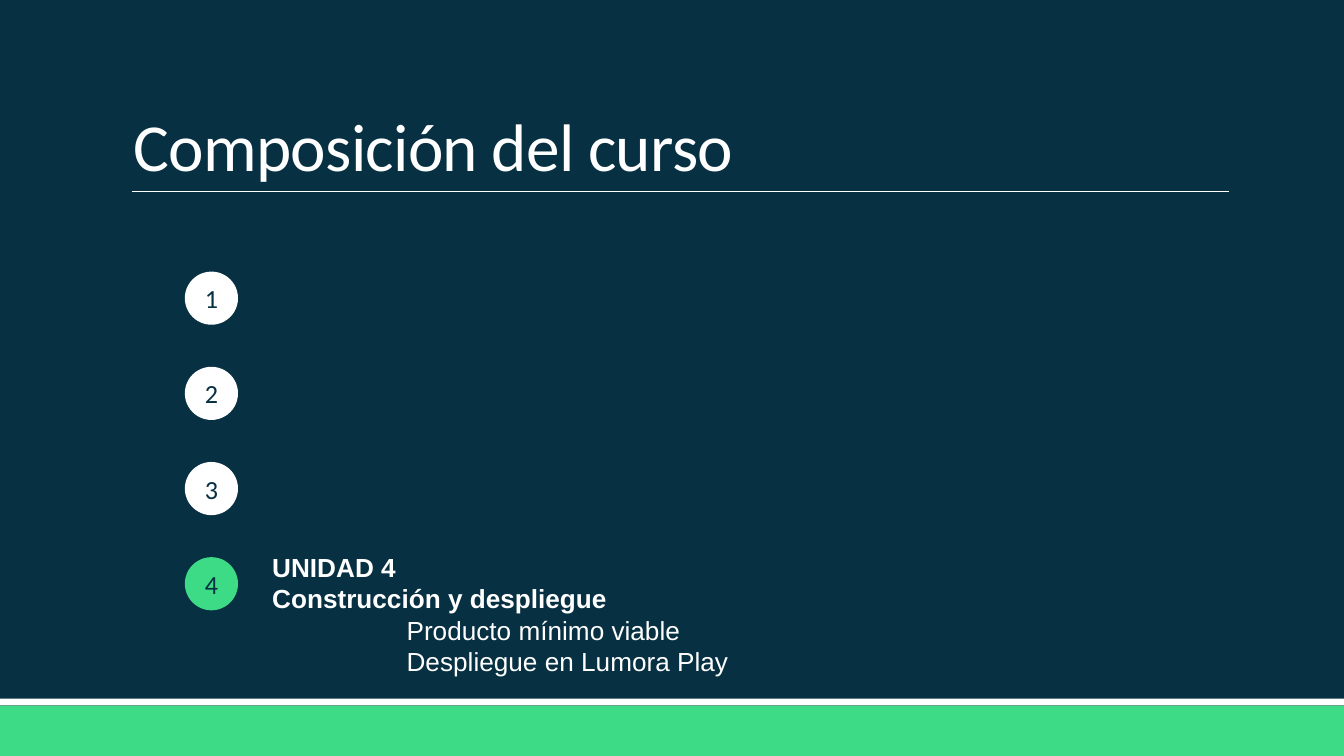
from pptx import Presentation
from pptx.dml.color import RGBColor
from pptx.enum.shapes import MSO_CONNECTOR, MSO_SHAPE
from pptx.enum.text import MSO_ANCHOR, PP_ALIGN
from pptx.oxml.ns import qn
from pptx.util import Pt
from lxml.etree import SubElement

EMU_PER_PX = 9525
WIDTH, HEIGHT = 960, 540
COLORS = {"navy": "073042", "green": "3DDB85", "white": "FFFFFF"}
UNIT_LINES = [
    # text, bold, indent in px
    ("UNIDAD 4", True, 0),
    ("Construcción y despliegue", True, 0),
    ("Producto mínimo viable", False, 96),
    ("Despliegue en Lumora Play", False, 96),
]


def px(*lengths):
    return [length * EMU_PER_PX for length in lengths]


def color(name):
    return RGBColor.from_string(COLORS[name])


def set_font(paragraph, name, size, color_name, bold=False):
    font = paragraph.font
    font.name, font.size, font.bold = name, Pt(size), bold
    font.color.rgb = color(color_name)


def add_filled_shape(slide, kind, box, fill):
    shape = slide.shapes.add_shape(kind, *px(*box))
    shape.shadow.inherit = False
    shape.fill.solid()
    shape.fill.fore_color.rgb = color(fill)
    shape.line.fill.background()
    return shape


def add_text_frame(slide, box):
    text_frame = slide.shapes.add_textbox(*px(*box)).text_frame
    text_frame.word_wrap = True
    return text_frame


def add_footer(slide, left, top, width, height):
    """Green band with a thin white stripe along its top."""
    stripe = 5
    band_box = (left, top + stripe, width, height - stripe)
    add_filled_shape(slide, MSO_SHAPE.RECTANGLE, band_box, "green")
    add_filled_shape(slide, MSO_SHAPE.RECTANGLE, (left, top, width, stripe), "white")


def add_title(slide, left, top, width, height):
    """Bottom-anchored title, underlined by a rule along the box."""
    bottom, right = top + height, left + width
    rule = slide.shapes.add_connector(
        MSO_CONNECTOR.STRAIGHT, *px(left + 8, bottom, right, bottom))
    rule.line.color.rgb = color("white")
    rule.line.width = Pt(0.5)
    SubElement(rule._element.spPr, qn("a:effectLst"))

    text_frame = add_text_frame(slide, (left, top, width, height))
    text_frame.vertical_anchor = MSO_ANCHOR.BOTTOM
    paragraph = text_frame.paragraphs[0]
    paragraph.line_spacing = 0.85
    set_font(paragraph, "Calibri", 36, "white")
    run = paragraph.add_run()
    run.text = "Composición del curso"
    run._r.get_or_add_rPr().set("spc", "-40")


def add_unit_numbers(slide, left, top, diameter, pitch, count):
    """Column of numbered circles; the last one is the current unit."""
    for index in range(count):
        fill = "green" if index == count - 1 else "white"
        box = (left, top + index * pitch, diameter, diameter)
        circle = add_filled_shape(slide, MSO_SHAPE.OVAL, box, fill)
        text_frame = circle.text_frame
        text_frame.vertical_anchor = MSO_ANCHOR.MIDDLE
        text_frame.margin_left = text_frame.margin_right = 0
        paragraph = text_frame.paragraphs[0]
        paragraph.text = str(index + 1)
        paragraph.alignment = PP_ALIGN.CENTER
        set_font(paragraph, "Calibri", 14, "navy")


def add_unit_summary(slide, left, top, width, height):
    text_frame = add_text_frame(slide, (left, top, width, height))
    for index, (text, bold, indent) in enumerate(UNIT_LINES):
        paragraph = text_frame.paragraphs[0] if index == 0 else text_frame.add_paragraph()
        paragraph.text = text
        paragraph.line_spacing = Pt(16.8)
        paragraph._p.get_or_add_pPr().set("marL", str(px(indent)[0]))
        set_font(paragraph, "Arial", 14, "white", bold)


def main():
    presentation = Presentation()
    presentation.slide_width, presentation.slide_height = px(WIDTH, HEIGHT)
    slide = presentation.slides.add_slide(presentation.slide_layouts[6])
    slide.background.fill.solid()
    slide.background.fill.fore_color.rgb = color("navy")

    add_footer(slide, 0, 499, WIDTH, HEIGHT - 499)
    add_title(slide, 86, 23, 792, 114)
    add_unit_numbers(slide, left=132, top=194, diameter=38, pitch=68, count=4)
    add_unit_summary(slide, 185, 389, 476, 100)
    presentation.save("out.pptx")


if __name__ == "__main__":
    main()
